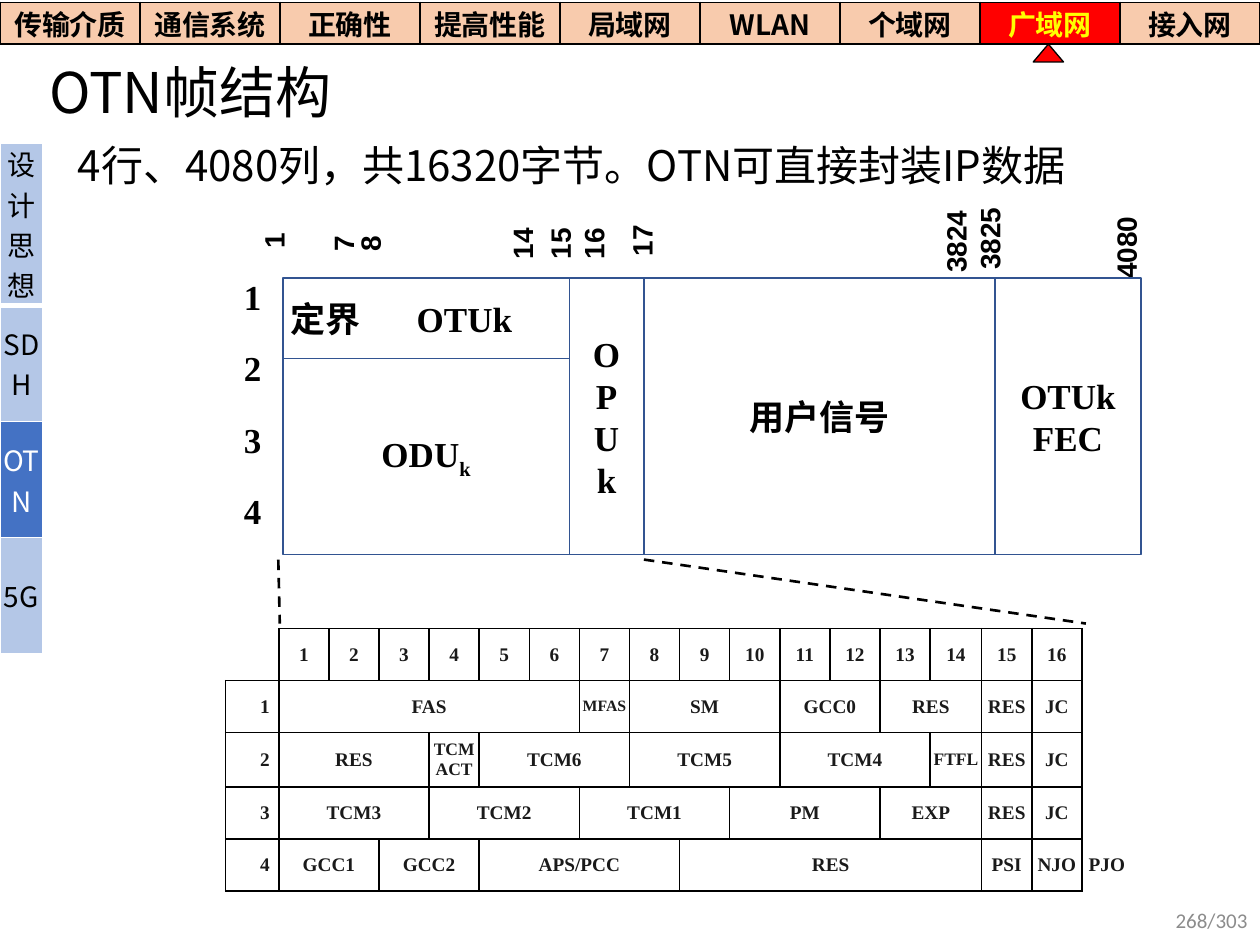
from lxml.etree import SubElement
from pptx import Presentation
from pptx.dml.color import RGBColor
from pptx.enum.dml import MSO_LINE
from pptx.enum.shapes import MSO_CONNECTOR, MSO_SHAPE
from pptx.enum.text import MSO_ANCHOR, PP_ALIGN
from pptx.oxml.ns import qn
from pptx.util import Cm, Pt

HUES = {"ink": "000000", "soft": "1A1A1A", "white": "FFFFFF", "gray": "8C8C8C",
        "peach": "F8CBAD", "red": "FF0000", "gold": "FFFF00",
        "pale": "B4C7E7", "blue": "4472C4", "edge": "325491"}
SANS, SERIF = "Noto Sans CJK SC", "Times New Roman"
LEFT, MID, RIGHT = PP_ALIGN.LEFT, PP_ALIGN.CENTER, PP_ALIGN.RIGHT


def hue(name):
    return RGBColor.from_string(HUES[name])


class Board:
    def __init__(self, slide):
        self.slide = slide
        self.shapes = slide.shapes

    def style(self, frame, size, face=SANS, ink="ink", bold=False, align=MID, gap=None):
        for para in frame.paragraphs:
            para.alignment = align
            if gap:
                para.line_spacing = gap
            for run in para.runs:
                font = run.font
                font.size, font.name, font.bold = Pt(size), face, bold
                font.color.rgb = hue(ink)
                SubElement(run._r.get_or_add_rPr(), qn("a:ea")).set("typeface", SANS)

    def pad(self, frame, side):
        frame.margin_left = frame.margin_right = Cm(side)
        frame.margin_top = frame.margin_bottom = 0

    def text(self, words, spot, size, anchor=MSO_ANCHOR.TOP, turn=False, side=None, **look):
        frame = self.shapes.add_textbox(*map(Cm, spot)).text_frame
        frame.word_wrap = True
        frame.vertical_anchor = anchor
        if side is not None:
            self.pad(frame, side)
        if turn:
            frame._txBody.bodyPr.set("vert", "vert270")
        frame.text = words
        self.style(frame, size, **look)

    def shape(self, kind, spot, fill, edge, width):
        item = self.shapes.add_shape(kind, *map(Cm, spot))
        item.shadow.inherit = False
        if fill:
            item.fill.solid()
            item.fill.fore_color.rgb = hue(fill)
        else:
            item.fill.background()
        item.line.color.rgb = hue(edge)
        item.line.width = Pt(width)
        return item

    def block(self, words, spot, side=0, **look):
        frame = self.shape(MSO_SHAPE.RECTANGLE, spot, None, "edge", 1).text_frame
        frame.word_wrap = True
        frame.vertical_anchor = MSO_ANCHOR.MIDDLE
        self.pad(frame, side)
        frame.text = words
        self.style(frame, 20, bold=True, **look)
        return frame.paragraphs[0]

    def dash(self, *ends):
        line = self.shapes.add_connector(MSO_CONNECTOR.STRAIGHT, *map(Cm, ends))
        line.line.color.rgb = hue("ink")
        line.line.width = Pt(1.5)
        line.line.dash_style = MSO_LINE.DASH
        SubElement(line._element.spPr, qn("a:effectLst"))

    def table(self, left, top, cols, rows):
        frame = self.shapes.add_table(len(rows), len(cols), Cm(left), Cm(top),
                                      Cm(sum(cols)), Cm(sum(rows)))
        grid = frame.table
        grid.first_row = grid.horz_banding = False
        for col, width in zip(grid.columns, cols):
            col.width = Cm(width)
        for row, height in zip(grid.rows, rows):
            row.height = Cm(height)
        return grid

    def cell(self, cell, words, size, fill=None, side=0, edge="ink", sides="LRTB",
             thick=None, **look):
        """Fill in one cell; sides lists its drawn borders, thick their odd widths."""
        props = cell._tc.get_or_add_tcPr()
        for name in "LRTB":
            line = SubElement(props, qn("a:ln" + name))
            if name in sides:
                line.set("w", str(Pt((thick or {}).get(name, 1))))
                paint = SubElement(line, qn("a:solidFill"))
                SubElement(paint, qn("a:srgbClr")).set("val", HUES[edge])
            else:
                SubElement(line, qn("a:noFill"))
        if fill:
            cell.fill.solid()
            cell.fill.fore_color.rgb = hue(fill)
        else:
            cell.fill.background()
        self.pad(cell, side)
        cell.vertical_anchor = MSO_ANCHOR.MIDDLE
        cell.text_frame.text = words
        self.style(cell.text_frame, size, **look)


def menus(board):
    names = "传输介质 通信系统 正确性 提高性能 局域网 WLAN 个域网 广域网 接入网".split()
    bar = board.table(0, 0.05, [25.4 / len(names)] * len(names), [0.84])
    for cell, name in zip(bar.iter_cells(), names):
        here = name == "广域网"
        board.cell(cell, name, 16, "red" if here else "peach",
                   ink="gold" if here else "ink", bold=True)
    board.shape(MSO_SHAPE.FLOWCHART_EXTRACT, (20.83, 0.89, 0.61, 0.36), "red", "ink", 0.75)

    names = ["设计思想", "SDH", "OTN", "5G"]
    bar = board.table(0, 2.88, [0.86], [3.28] + [2.34] * 3)
    for cell, name in zip(bar.iter_cells(), names):
        here = name == "OTN"
        thick = {"B": 3} if name == names[0] else {"T": 3} if name == names[1] else None
        board.cell(cell, name, 16, "blue" if here else "pale", edge="white",
                   ink="white" if here else "ink", thick=thick)


def frame(board):
    marks = [("1", 5.05, 3.58, 2.54), ("7", 6.45, 3.73, 2.36), ("8", 6.99, 3.73, 2.36),
             ("14", 10.06, 3.73, 2.36), ("15\n16", 10.82, 3.73, 2.36),
             ("17", 12.47, 3.58, 2.54), ("3824", 18.8, 3.73, 2.29),
             ("3825", 19.48, 3.58, 2.46), ("4080", 22.23, 3.81, 2.36)]
    for words, left, top, tall in marks:
        wide = 2.46 if "\n" in words else 1.55
        board.text(words, (left, top, wide, tall), 16, turn=True, face="Arial", bold=True)
    board.text("1\n2\n3\n4", (4.55, 4.95, 1.09, 5.77), 20, anchor=MSO_ANCHOR.BOTTOM,
               side=0, face=SERIF, bold=True, gap=1.7)

    top, tall, head = 5.61, 5.57, 1.62
    para = board.block("定界\tOTUk", (5.7, top, 5.78, head), side=0.16,
                       face=SERIF, align=LEFT)
    tabs = SubElement(para._p.get_or_add_pPr(), qn("a:tabLst"))
    stop = SubElement(tabs, qn("a:tab"))
    stop.set("pos", str(Cm(2.54)))
    stop.set("algn", "l")
    para = board.block("ODU", (5.7, top + head, 5.78, tall - head), face=SERIF)
    low = para.add_run()
    low.text = "k"
    low.font.size, low.font.name, low.font.bold = Pt(20), SERIF, True
    low.font.color.rgb = hue("ink")
    low._r.get_or_add_rPr().set("baseline", "-25000")
    board.block("O\nP\nU\nk", (11.48, top, 1.5, tall), face=SERIF)
    board.block("用户信号", (12.98, top, 7.08, tall))
    board.block("OTUk\nFEC", (20.06, top, 2.94, tall), face=SERIF)


def bytes_grid(board):
    """Overhead bytes: each row is a list of (words, columns spanned)."""
    rows = [
        [("", 1)] + [(str(n), 1) for n in range(1, 17)] + [("", 1)],
        [("1", 1), ("FAS", 6), ("MFAS", 1), ("SM", 3), ("GCC0", 2), ("RES", 2),
         ("RES", 1), ("JC", 1), ("", 1)],
        [("2", 1), ("RES", 3), ("TCM\nACT", 1), ("TCM6", 3), ("TCM5", 3), ("TCM4", 3),
         ("FTFL", 1), ("RES", 1), ("JC", 1), ("", 1)],
        [("3", 1), ("TCM3", 3), ("TCM2", 3), ("TCM1", 3), ("PM", 3), ("EXP", 2),
         ("RES", 1), ("JC", 1), ("", 1)],
        [("4", 1), ("GCC1", 2), ("GCC2", 2), ("APS/PCC", 4), ("RES", 6),
         ("PSI", 1), ("NJO", 1), ("PJO", 1)],
    ]
    small = {"MFAS": 9, "TCM\nACT": 10, "FTFL": 10}
    last = 17
    grid = board.table(4.55, 12.67, [1.07] + [1.01] * 13 + [1.04] + [1.01] * 3,
                       [1.05, 1.05, 1.09, 1.05, 1.05])
    for y, row in enumerate(rows):
        x = 0
        for words, span in row:
            sides = "L" if x == last else "RB" if x == y == 0 else "LRTB"
            for n in range(span):
                board.cell(grid.cell(y, x + n), "" if n else words, small.get(words, 11),
                           side=0.05 if x else 0.18, sides=sides, face=SERIF,
                           ink="soft", bold=True, align=MID if x else RIGHT)
            if span > 1:
                grid.cell(y, x).merge(grid.cell(y, x + span - 1))
            x += span


def main():
    deck = Presentation()
    deck.slide_width, deck.slide_height = Cm(25.4), Cm(19.05)
    board = Board(deck.slides.add_slide(deck.slide_layouts[6]))
    board.text("OTN帧结构", (0.74, 0.99, 24.05, 1.88), 32, anchor=MSO_ANCHOR.MIDDLE,
               align=LEFT, gap=0.9)
    board.text("4行、4080列，共16320字节。OTN可直接封装IP数据", (1.32, 2.69, 23.65, 1.5), 24,
               align=LEFT)
    menus(board)
    frame(board)
    bytes_grid(board)
    board.dash(5.61, 11.28, 5.64, 12.57)
    board.dash(12.98, 11.28, 21.89, 12.57)
    board.text("268/303", (19.69, 18.03, 5.71, 1.02), 12, anchor=MSO_ANCHOR.MIDDLE,
               face="Calibri", ink="gray", align=RIGHT)
    deck.save("out.pptx")


if __name__ == "__main__":
    main()
